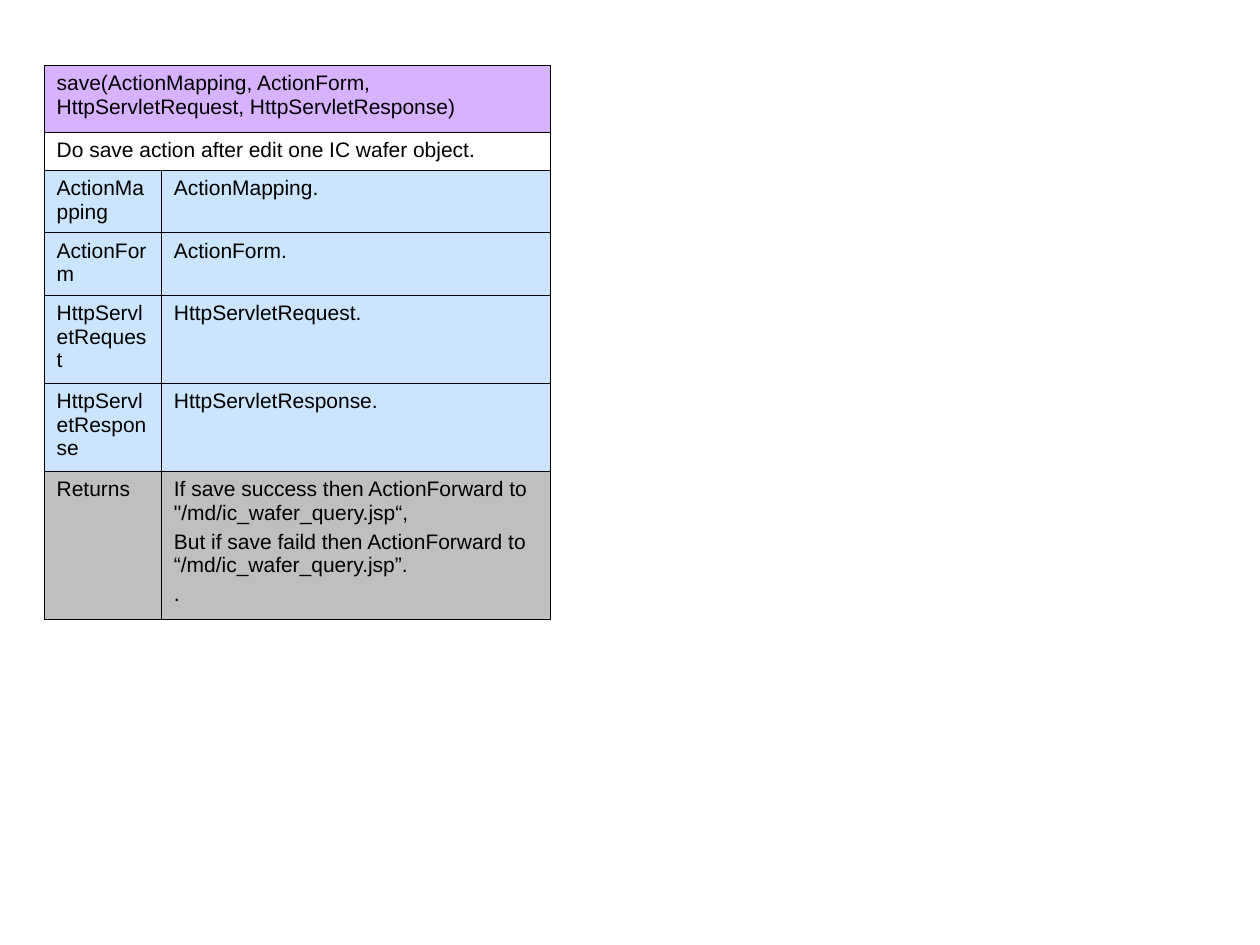
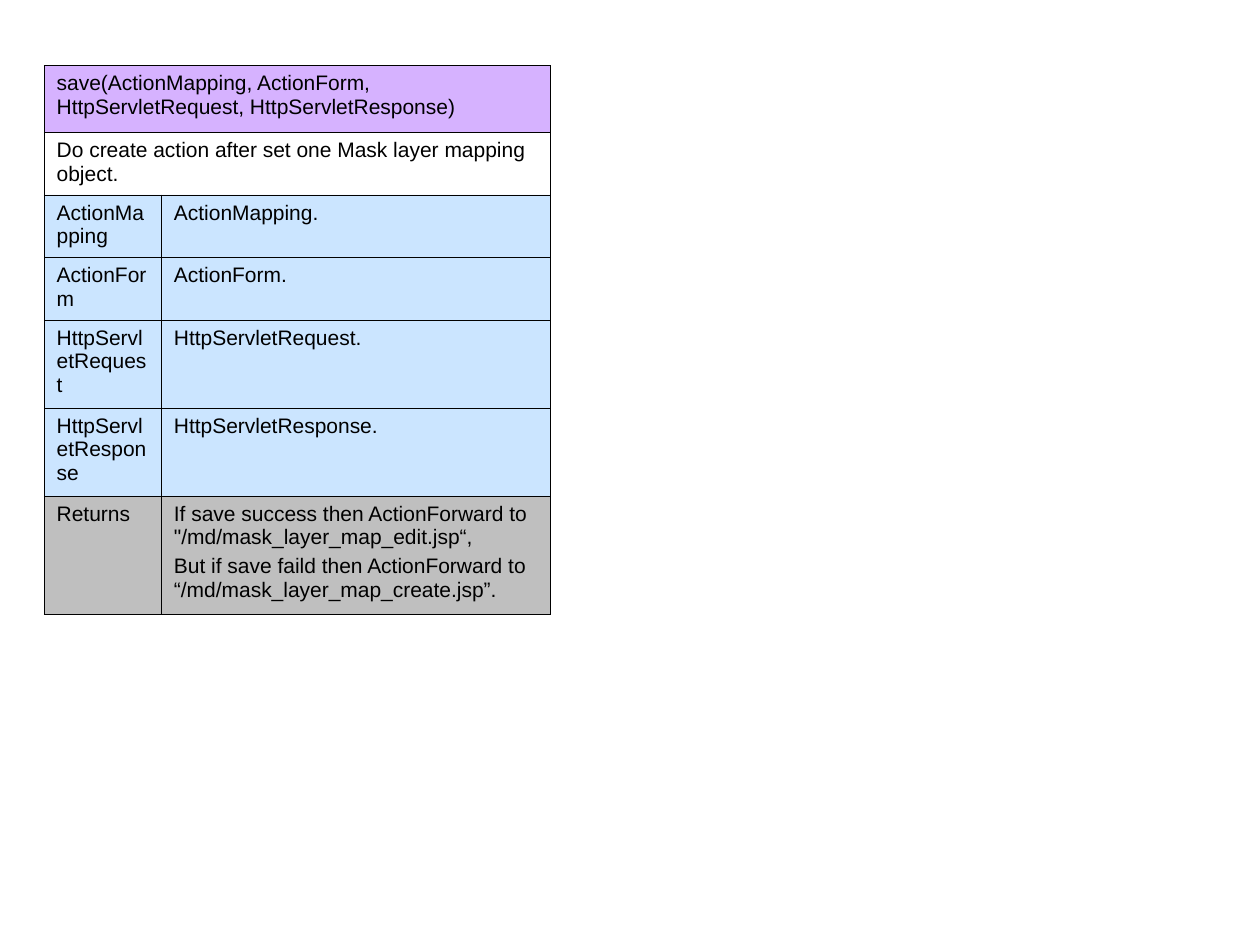
from lxml.etree import SubElement
from pptx import Presentation
from pptx.dml.color import RGBColor
from pptx.oxml.ns import qn
from pptx.util import Pt

PURPLE = "AF67FF"
BLUE = "99CCFF"
GREY = "808080"
BLACK = "000000"

TABLE_LEFT, TABLE_TOP = 25.2, 37.4
COLUMN_WIDTHS = [67, 222.4]
SIGNATURE_HEIGHT = 38.2
PARAMETERS = [
    ("ActionMapping", 35.8),
    ("ActionForm", 35.8),
    ("HttpServletRequest", 50.3),
    ("HttpServletResponse", 50.3),
]
SIGNATURE = "save(" + ", ".join(name for name, height in PARAMETERS) + ")"

METHODS = [
    {
        "summary": "Do save action after edit one IC wafer object.",
        "summary_height": 21.7,
        "returns": [
            'If save success then ActionForward to "/md/ic_wafer_query.jsp“,',
            "But if save faild then ActionForward to “/md/ic_wafer_query.jsp”.",
            ".",
        ],
        "returns_height": 84.7,
    },
    {
        "summary": "Do create action after set one Mask layer mapping object.",
        "summary_height": 35.8,
        "returns": [
            'If save success then ActionForward to "/md/mask_layer_map_edit.jsp“,',
            "But if save faild then ActionForward to “/md/mask_layer_map_create.jsp”.",
        ],
        "returns_height": 67.5,
    },
]


def color(value):
    return RGBColor.from_string(value)


def write_text(frame, paragraphs, size=12, font="Arial", ink=BLACK, gap=3):
    for index, text in enumerate(paragraphs):
        para = frame.paragraphs[0] if index == 0 else frame.add_paragraph()
        para.space_before = Pt(gap if index else 0)
        span = para.add_run()
        span.text = text
        span.font.size = Pt(size)
        span.font.name = font
        span.font.color.rgb = color(ink)


def draw_borders(cell, ink=BLACK, width=0.45):
    properties = cell._tc.get_or_add_tcPr()
    for side in ("lnL", "lnR", "lnT", "lnB"):
        line = SubElement(properties, qn(f"a:{side}"), w=str(Pt(width)))
        fill = SubElement(line, qn("a:solidFill"))
        SubElement(fill, qn("a:srgbClr"), val=ink)


def fill_cell(cell, shade, opacity=50):
    if shade is None:
        cell.fill.background()
        return
    cell.fill.solid()
    cell.fill.fore_color.rgb = color(shade)
    tint = cell._tc.tcPr.find(qn("a:solidFill")).find(qn("a:srgbClr"))
    SubElement(tint, qn("a:alpha"), val=str(opacity * 1000))


def format_cell(cell, shade):
    cell.margin_left = cell.margin_right = Pt(7.2)
    cell.margin_top = cell.margin_bottom = Pt(3.6)
    draw_borders(cell)
    fill_cell(cell, shade)


def method_rows(method):
    return [
        (SIGNATURE_HEIGHT, PURPLE, [[SIGNATURE]]),
        (method["summary_height"], None, [[method["summary"]]]),
        *[(height, BLUE, [[name], [f"{name}."]]) for name, height in PARAMETERS],
        (method["returns_height"], GREY, [["Returns"], method["returns"]]),
    ]


def add_method_table(page, method):
    rows = method_rows(method)
    frame = page.shapes.add_table(
        len(rows), len(COLUMN_WIDTHS), Pt(TABLE_LEFT), Pt(TABLE_TOP),
        Pt(sum(COLUMN_WIDTHS)), Pt(sum(row[0] for row in rows)))
    table = frame.table
    table.first_row = table.horz_banding = False
    for column, width in zip(table.columns, COLUMN_WIDTHS):
        column.width = Pt(width)
    for row, (height, shade, contents) in zip(table.rows, rows):
        row.height = Pt(height)
        for cell in row.cells:
            format_cell(cell, shade)
        if len(contents) == 1:
            row.cells[0].merge(row.cells[1])
        for cell, paragraphs in zip(row.cells, contents):
            write_text(cell.text_frame, paragraphs)


def main():
    deck = Presentation()
    deck.slide_width, deck.slide_height = Pt(720), Pt(540)
    blank_layout = deck.slide_layouts[6]
    for method in METHODS:
        add_method_table(deck.slides.add_slide(blank_layout), method)
    deck.save("out.pptx")


if __name__ == "__main__":
    main()
